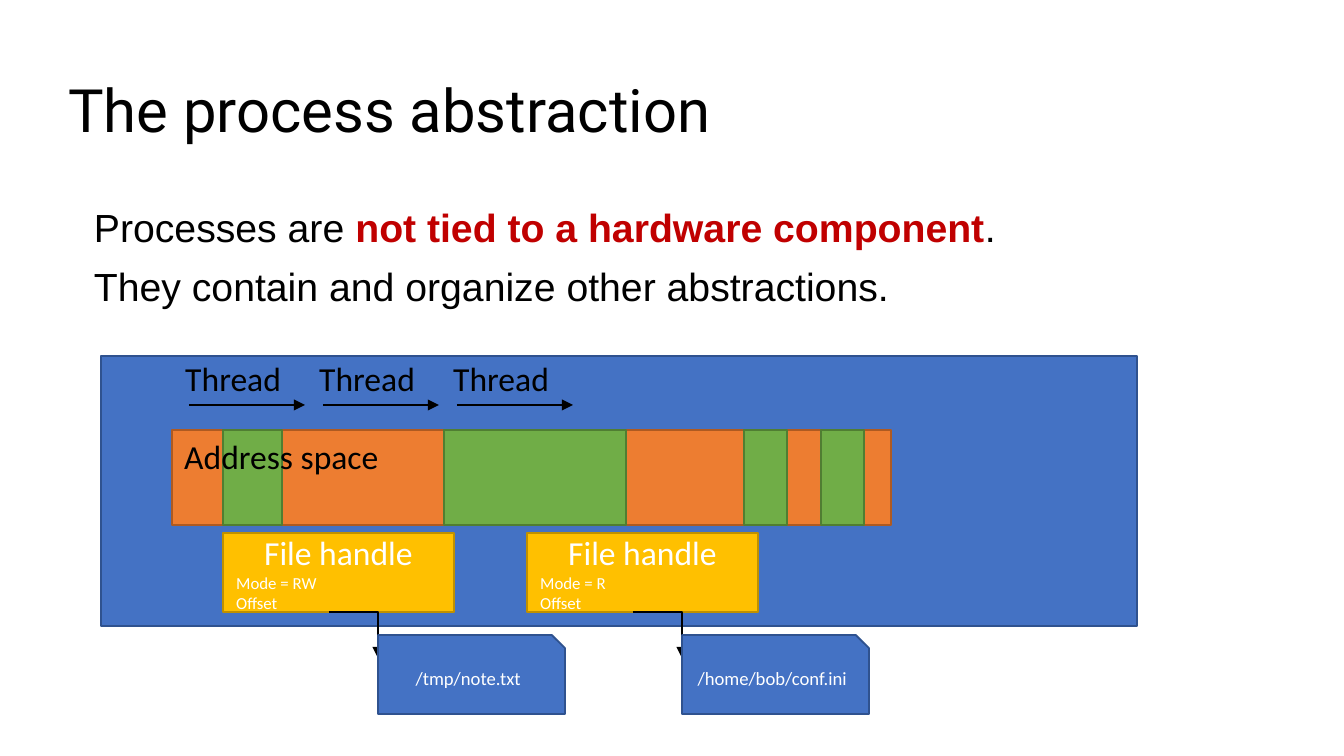
from lxml import etree
from pptx import Presentation
from pptx import util as u
from pptx.dml.color import RGBColor
from pptx.enum import shapes, text
from pptx.oxml.ns import qn

PX = 914400 / 134.4
BLACK = RGBColor(0x00, 0x00, 0x00)
WHITE = RGBColor(0xFF, 0xFF, 0xFF)
RED = RGBColor(0xC0, 0x00, 0x00)
BLUE = RGBColor(0x44, 0x72, 0xC4)
BLUE_EDGE = RGBColor(0x2F, 0x52, 0x8F)
ORANGE = RGBColor(0xED, 0x7D, 0x31)
ORANGE_EDGE = RGBColor(0xAE, 0x5A, 0x21)
GREEN = RGBColor(0x70, 0xAD, 0x47)
GREEN_EDGE = RGBColor(0x50, 0x7E, 0x32)
GOLD = RGBColor(0xFF, 0xC0, 0x00)
GOLD_EDGE = RGBColor(0xBF, 0x90, 0x00)
RECT = shapes.MSO_SHAPE.RECTANGLE
SNIP = shapes.MSO_SHAPE.SNIP_1_RECTANGLE
LEFT, CENTER = text.PP_ALIGN.LEFT, text.PP_ALIGN.CENTER

prs = Presentation()
prs.slide_width, prs.slide_height = round(1344 * PX), round(756 * PX)
s = prs.slides.add_slide(prs.slide_layouts[6])


def write(p, words, size=18, font="Calibri", color=BLACK, bold=False, align=LEFT):
    p.alignment = align
    r = p.add_run()
    r.text = words
    r.font.size = u.Pt(size)
    r.font.name = font
    r.font.bold = bold
    r.font.color.rgb = color


def box(x, y, w, h, kind=None, fill=None, edge=None):
    place = [round(v * PX) for v in (x, y, w, h)]
    if kind is None:
        return s.shapes.add_textbox(*place).text_frame
    sp = s.shapes.add_shape(kind, *place)
    sp.shadow.inherit = False
    sp.fill.solid()
    sp.fill.fore_color.rgb = fill
    sp.line.color.rgb = edge
    sp.line.width = u.Pt(1)
    sp.text_frame.vertical_anchor = text.MSO_ANCHOR.MIDDLE
    return sp.text_frame


def arrow(kind, *ends):
    cn = s.shapes.add_connector(kind, *[round(v * PX) for v in ends])
    cn.line.color.rgb = BLACK
    cn.line.width = u.Pt(1.5)
    etree.SubElement(cn.line._get_or_add_ln(), qn("a:tailEnd"), type="triangle")
    etree.SubElement(cn._element.spPr, qn("a:effectLst"))
    return cn


tf = box(55, 40, 1235, 147)
tf.word_wrap = True
tf.vertical_anchor = text.MSO_ANCHOR.MIDDLE
tf.paragraphs[0].line_spacing = 0.9
write(tf.paragraphs[0], "The process abstraction", size=32, font="Roboto")

tf = box(55, 202, 1235, 425)
tf.word_wrap = True
tf.margin_left = round(39 * PX)
first, second = tf.paragraphs[0], tf.add_paragraph()
for p in (first, second):
    p.line_spacing = 0.9
second.space_before = u.Pt(9)
write(first, "Processes are ", size=21, font="Arial")
write(first, "not tied to a hardware component", size=21, font="Arial", color=RED, bold=True)
write(first, ".", size=21, font="Arial")
write(second, "They contain and organize other abstractions.", size=21, font="Arial")

box(101, 356, 1036, 270, RECT, BLUE, BLUE_EDGE)
box(172, 430, 719, 95, RECT, ORANGE, ORANGE_EDGE)
for x, w in [(223, 59), (444, 182), (744, 43), (821, 43)]:
    box(x, 430, w, 95, RECT, GREEN, GREEN_EDGE)

for i in range(3):
    x = 172 + 134 * i
    arrow(shapes.MSO_CONNECTOR.STRAIGHT, x + 17, 405, x + 133, 405)
    tf = box(x, 351, 124, 54)
    tf.word_wrap = False
    write(tf.paragraphs[0], "Thread")

tf = box(171, 429, 223, 54)
tf.word_wrap = False
write(tf.paragraphs[0], "Address space")

for i, (mode, file) in enumerate([("RW", "/tmp/note.txt"), ("R", "/home/bob/conf.ini")]):
    x = 223 + 304 * i
    tf = box(x, 533, 231, 79, RECT, GOLD, GOLD_EDGE)
    write(tf.paragraphs[0], "File handle", color=WHITE, align=CENTER)
    for words in (f"Mode = {mode}", "Offset"):
        write(tf.add_paragraph(), words, size=9, color=WHITE)
    cn = arrow(shapes.MSO_CONNECTOR.ELBOW, x + 106, 612, x + 155, 658)
    cn._element.spPr.find(qn("a:prstGeom")).set("prst", "bentConnector2")
    tf = box(x + 155, 635, 187, 79, SNIP, BLUE, BLUE_EDGE)
    write(tf.paragraphs[0], file, size=10, color=WHITE, align=CENTER)

prs.save("out.pptx")
